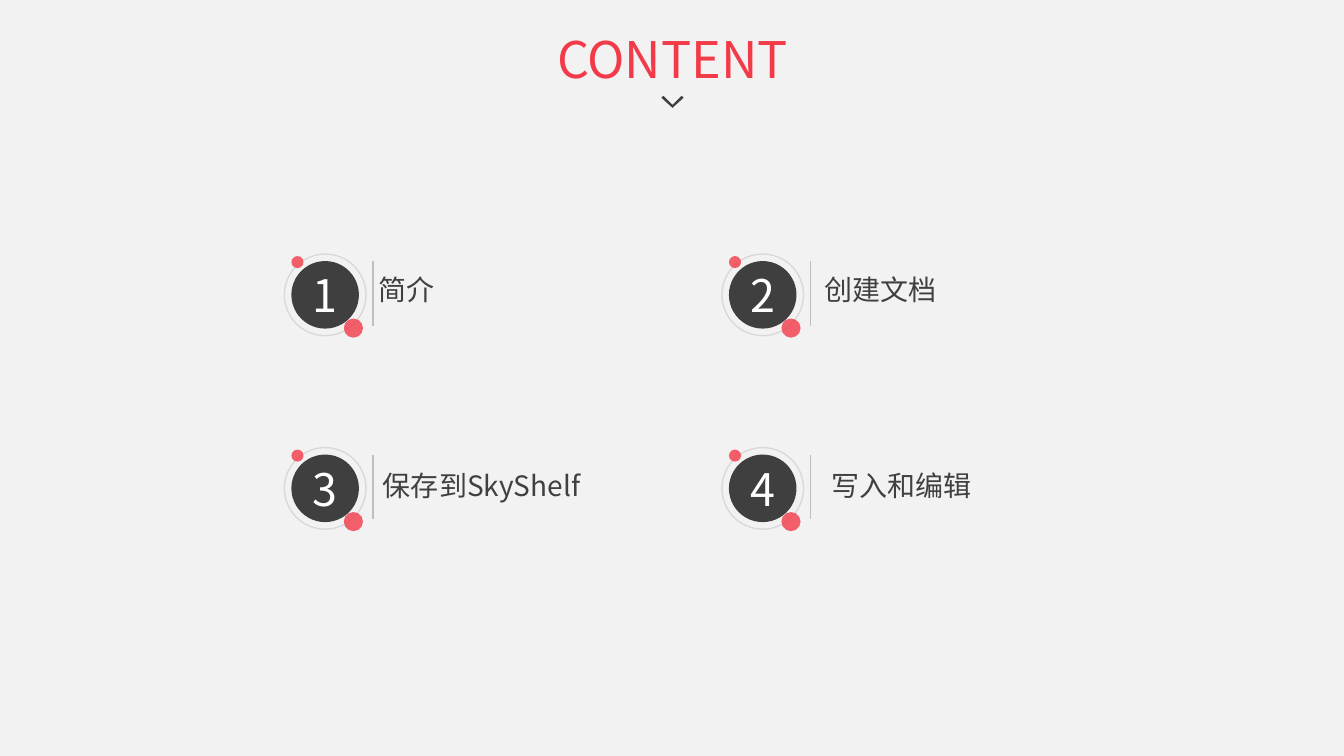
from lxml import etree
from pptx import Presentation
from pptx import util as u
from pptx.dml.color import RGBColor
from pptx.enum import shapes, text
from pptx.oxml.ns import qn

COLORS = {"back": "F2F2F2", "red": "F23B48", "dark": "3F3F3F", "label": "404040",
          "ring": "D9D9D9", "rule": "BFBFBF", "white": "FFFFFF"}
FONT = "Noto Sans CJK SC"


class ContentSlide:
    """Holds the current slide and draws its elements in one style."""

    def __init__(self, deck):
        self.slide = deck.slides.add_slide(deck.slide_layouts[5])
        self.paint(self.slide.background.fill, "back")

    def paint(self, fill, color):
        fill.solid()
        fill.fore_color.rgb = RGBColor.from_string(COLORS[color])

    def add_words(self, frame, words, size, color, align):
        paragraph = frame.paragraphs[0]
        paragraph.alignment = align
        run = paragraph.add_run()
        run.text = words
        run.font.size = u.Pt(size)
        run.font.name = FONT
        run.font.color.rgb = RGBColor.from_string(COLORS[color])
        etree.SubElement(run.font._element, qn("a:ea"), typeface=FONT)

    def fit(self, frame):
        frame.word_wrap = True
        frame.auto_size = text.MSO_AUTO_SIZE.SHAPE_TO_FIT_TEXT
        frame.vertical_anchor = text.MSO_ANCHOR.TOP

    def title(self, words, left, top, width, height):
        heading = self.slide.shapes.title
        heading.left, heading.top = u.Inches(left), u.Inches(top)
        heading.width, heading.height = u.Inches(width), u.Inches(height)
        self.fit(heading.text_frame)
        self.add_words(heading.text_frame, words, 36, "red", text.PP_ALIGN.CENTER)

    def circle(self, parent, left, top, size, fill=None, line=None, alpha=None):
        disc = parent.shapes.add_shape(shapes.MSO_SHAPE.OVAL, u.Inches(left), u.Inches(top),
                                       u.Inches(size), u.Inches(size))
        disc.shadow.inherit = False
        if fill:
            self.paint(disc.fill, fill)
        else:
            disc.fill.background()
        if line:
            self.paint(disc.line.fill, line)
            disc.line.width = u.Pt(1)
        else:
            disc.line.fill.background()
        if alpha:
            tint = disc._element.spPr.find(qn("a:solidFill"))[0]
            etree.SubElement(tint, qn("a:alpha"), val=str(alpha * 1000))
        return disc

    def number(self, parent, digit, left, top):
        frame = self.circle(parent, left, top, 0.67, fill="dark").text_frame
        frame.margin_left = frame.margin_right = frame.margin_top = frame.margin_bottom = 0
        frame.word_wrap = False
        frame.vertical_anchor = text.MSO_ANCHOR.MIDDLE
        self.add_words(frame, digit, 32, "white", text.PP_ALIGN.CENTER)

    def label(self, parent, words, left, top):
        frame = parent.shapes.add_textbox(u.Inches(left), u.Inches(top),
                                          u.Inches(2.47), u.Inches(0.44)).text_frame
        self.fit(frame)
        self.add_words(frame, words, 20, "label", text.PP_ALIGN.JUSTIFY)

    def rule(self, parent, x, top, height):
        divider = parent.shapes.add_connector(shapes.MSO_CONNECTOR.STRAIGHT, u.Inches(x),
                                              u.Inches(top), u.Inches(x), u.Inches(top + height))
        self.paint(divider.line.fill, "rule")
        divider.line.width = u.Pt(1)
        etree.SubElement(divider._element.spPr, qn("a:effectLst"))

    def entry(self, digit, words, left, top, indent, drop):
        group = self.slide.shapes.add_group_shape()
        self.number(group, digit, left + 0.07, top + 0.07)
        self.circle(group, left, top, 0.81, line="ring")
        self.circle(group, left + 0.59, top + 0.64, 0.19, fill="red", alpha=80)
        self.circle(group, left + 0.07, top + 0.02, 0.12, fill="red", alpha=80)
        self.label(group, words, left + indent, top + drop)
        self.rule(group, left + 0.88, top + 0.07, 0.64)

    def chevron(self, points):
        start, *rest = [(u.Inches(x), u.Inches(y)) for x, y in points]
        builder = self.slide.shapes.build_freeform(*start)
        builder.add_line_segments(rest, close=True)
        arrow = builder.convert_to_shape()
        arrow.shadow.inherit = False
        self.paint(arrow.fill, "dark")
        arrow.line.fill.background()


def main():
    deck = Presentation()
    deck.slide_width, deck.slide_height = u.Inches(13.33), u.Inches(7.5)
    page = ContentSlide(deck)
    page.title("CONTENT", 5.24, 0.23, 2.86, 0.71)
    topics = [("简介", 0.84, 0.13), ("创建文档", 0.92, 0.13),
              ("保存到SkyShelf", 0.88, 0.16), ("写入和编辑", 0.99, 0.16)]
    for index, (topic, indent, drop) in enumerate(topics):
        row, column = divmod(index, 2)
        page.entry(str(index + 1), topic, 2.82 + 4.34 * column, 2.52 + 1.92 * row, indent, drop)
    page.chevron([(6.76, 0.95), (6.78, 0.97), (6.67, 1.07),
                  (6.56, 0.97), (6.58, 0.95), (6.67, 1.04)])
    deck.save("out.pptx")


if __name__ == "__main__":
    main()
